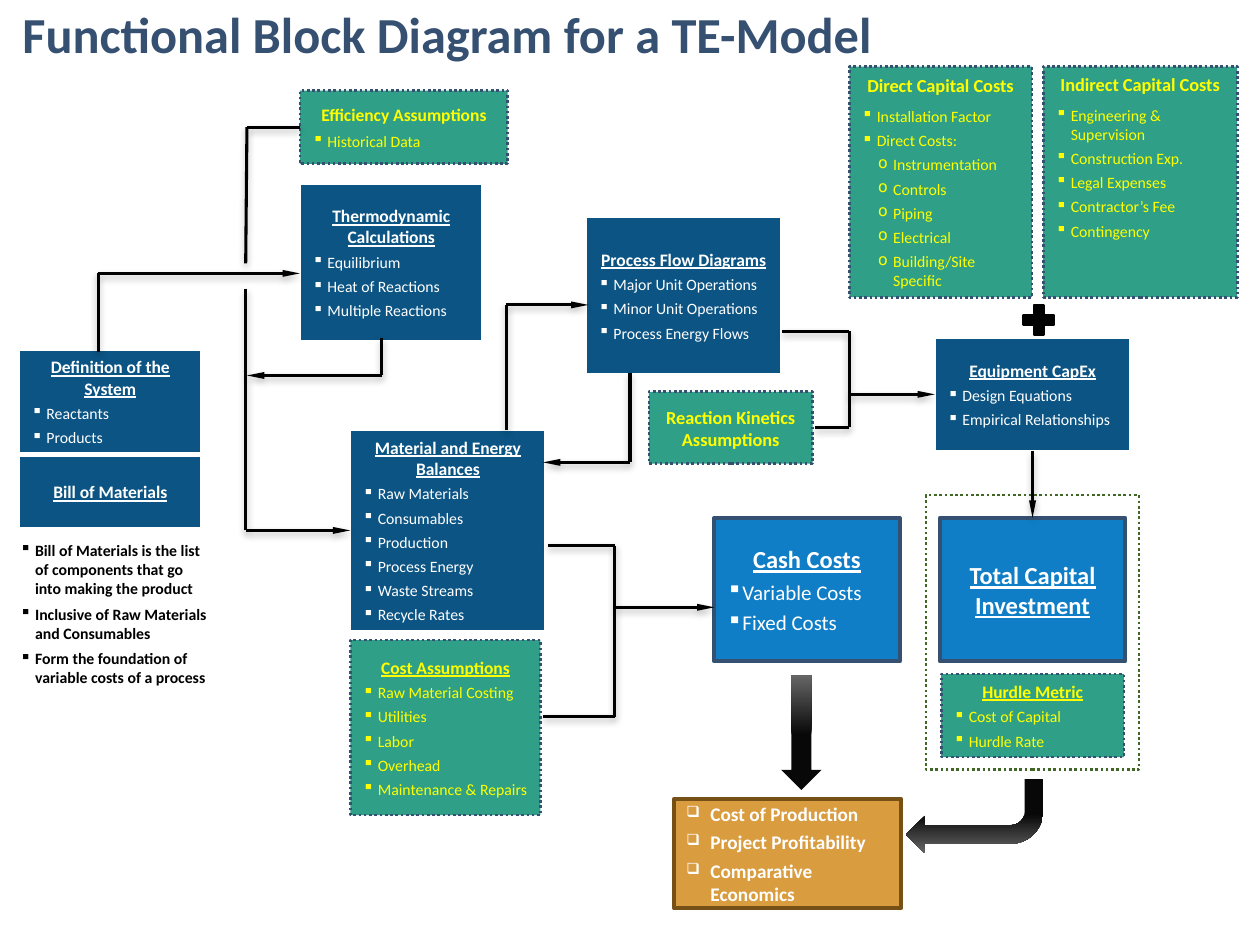
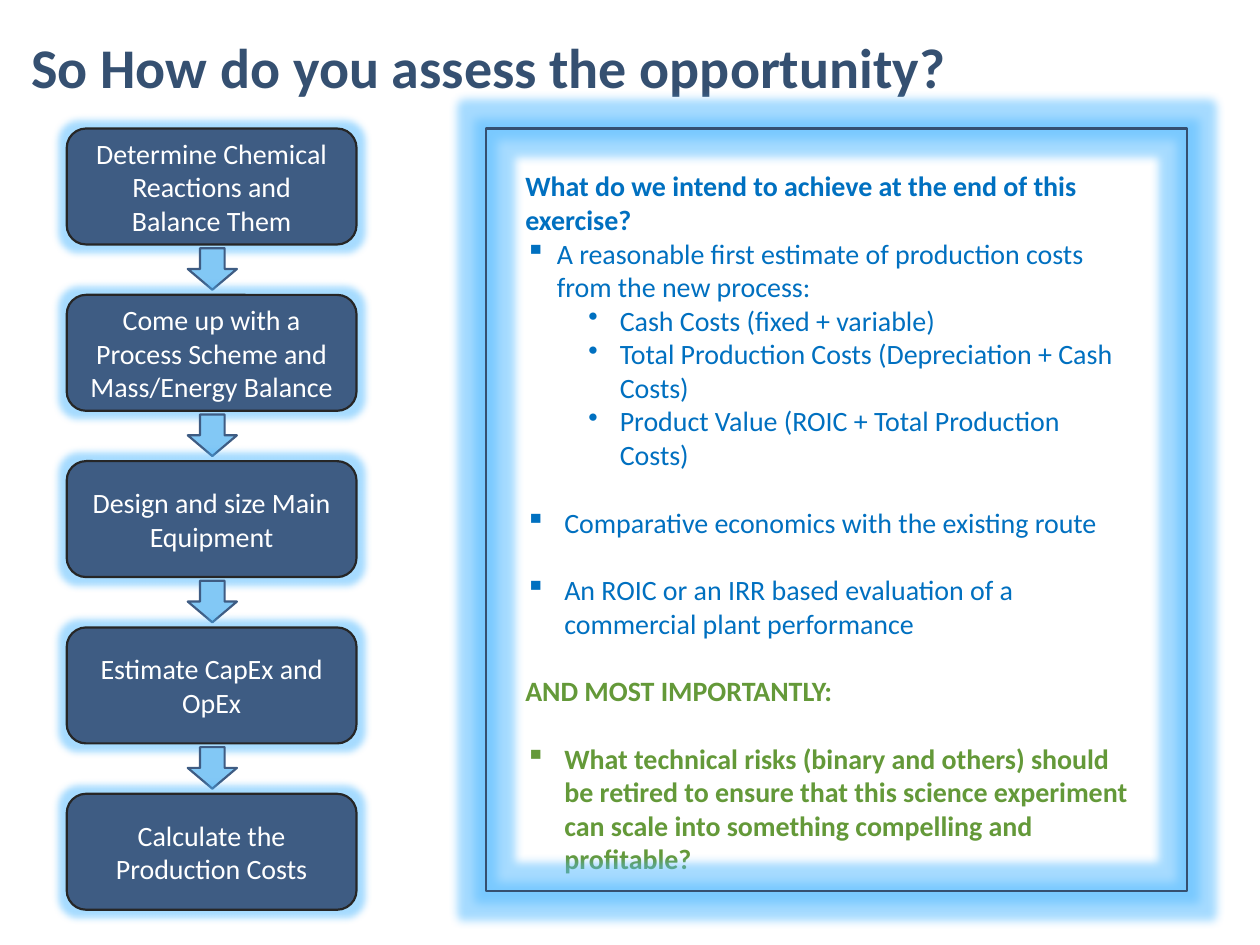
from dataclasses import dataclass

from lxml import etree
from pptx import Presentation
from pptx.dml.color import RGBColor
from pptx.enum.dml import MSO_LINE
from pptx.enum.shapes import MSO_CONNECTOR, MSO_SHAPE
from pptx.enum.text import MSO_ANCHOR, PP_ALIGN
from pptx.oxml.ns import qn
from pptx.util import Inches, Pt

FONT = "Calibri"
WHITE = RGBColor(0xFF, 0xFF, 0xFF)
BLACK = RGBColor(0, 0, 0)
NEAR_BLACK = RGBColor(0x08, 0x08, 0x08)
GRAY = RGBColor(0x66, 0x66, 0x66)
CHARCOAL = RGBColor(0x26, 0x26, 0x26)
SLATE = RGBColor(0x35, 0x50, 0x71)
STEEL = RGBColor(0x3E, 0x5C, 0x83)
NAVY = RGBColor(0x0B, 0x54, 0x84)
BLUE = RGBColor(0x10, 0x7E, 0xC6)
SKY = RGBColor(0x82, 0xC8, 0xF5)
GLOW = RGBColor(0x4D, 0xB8, 0xFF)
TEXT_BLUE = RGBColor(0x00, 0x70, 0xC0)
TEAL = RGBColor(0x2F, 0xA0, 0x87)
YELLOW = RGBColor(0xFF, 0xFF, 0x00)
FOREST = RGBColor(0x42, 0x66, 0x26)
GREEN = RGBColor(0x64, 0x99, 0x39)
AMBER = RGBColor(0xD9, 0x9C, 0x3F)
BROWN = RGBColor(0x75, 0x50, 0x17)

RECTANGLE = MSO_SHAPE.RECTANGLE
ROUNDED = MSO_SHAPE.ROUNDED_RECTANGLE
DOWN_ARROW = MSO_SHAPE.DOWN_ARROW
BENT_ARROW = MSO_SHAPE.BENT_ARROW
PLUS = MSO_SHAPE.MATH_PLUS
STRAIGHT = MSO_CONNECTOR.STRAIGHT
DOTTED = MSO_LINE.ROUND_DOT
TOP, MIDDLE = MSO_ANCHOR.TOP, MSO_ANCHOR.MIDDLE
LEFT, CENTER = PP_ALIGN.LEFT, PP_ALIGN.CENTER
SIDE_TOP, SIDE_LEFT, SIDE_BOTTOM = 0, 1, 2


@dataclass(frozen=True)
class CardStyle:
    fill: RGBColor
    line: RGBColor
    width: float
    text: RGBColor
    dash: MSO_LINE = None


PROCESS = CardStyle(NAVY, WHITE, 1.25, WHITE)
ASSUMPTION = CardStyle(TEAL, SLATE, 1.5, YELLOW, DOTTED)
RESULT = CardStyle(BLUE, SLATE, 2.25, WHITE)
OUTCOME = CardStyle(AMBER, BROWN, 2.25, WHITE)


def add_box(page, kind, bounds, fill=None, line=None, width=1.25, dash=None):
    box = page.shapes.add_shape(kind, *map(Inches, bounds))
    box.shadow.inherit = False
    if fill is None:
        box.fill.background()
    else:
        box.fill.solid()
        box.fill.fore_color.rgb = fill
    if line is None:
        box.line.fill.background()
    else:
        box.line.color.rgb = line
        box.line.width = Pt(width)
        if dash is not None:
            box.line.dash_style = dash
    return box


def prepare_frame(box, anchor):
    frame = box.text_frame
    frame.word_wrap = True
    frame.vertical_anchor = anchor
    return frame


def add_para(frame, text, size, color, bold=False, underline=False, align=LEFT,
             before=0, after=0, bullet=None, bullet_size=None, margin=0.12, hanging=0.12):
    """Fill the empty first paragraph, or add one after the last."""
    para = frame.paragraphs[0] if not frame.text else frame.add_paragraph()
    para.alignment = align
    para.space_before, para.space_after = Pt(before), Pt(after)
    if bullet:
        properties = para._p.get_or_add_pPr()
        properties.set("marL", str(Inches(margin)))
        properties.set("indent", str(-Inches(hanging)))
        if bullet_size:
            etree.SubElement(properties, qn("a:buSzPct"), val=str(bullet_size * 1000))
        etree.SubElement(properties, qn("a:buChar"), char=bullet)
    span = para.add_run()
    span.text = text
    span.font.name, span.font.size, span.font.color.rgb = FONT, Pt(size), color
    span.font.bold, span.font.underline = bold, underline
    return para


def add_title(page, text, bounds, size):
    box = page.shapes.add_textbox(*map(Inches, bounds))
    para = add_para(prepare_frame(box, MIDDLE), text, size, SLATE, bold=True)
    para.line_spacing = 0.9


def add_card(page, style, bounds, heading, items=(), sub_items=(), size=10, item_size=9,
             underline=True, after=3, anchor=MIDDLE):
    """Box with a centred heading, bullets and second-level bullets."""
    box = add_box(page, RECTANGLE, bounds, style.fill, style.line, style.width, style.dash)
    frame = prepare_frame(box, anchor)
    add_para(frame, heading, size, style.text, bold=True, underline=underline,
             align=CENTER, after=after)
    for item in items:
        add_para(frame, item, item_size, style.text, after=3, bullet="▪")
    for item in sub_items:
        add_para(frame, item, item_size, style.text, after=3, bullet="o", margin=0.25)
    return box


def add_shadow(connector):
    effects = etree.SubElement(connector._element.spPr, qn("a:effectLst"))
    shadow = etree.SubElement(effects, qn("a:outerShdw"), blurRad=str(Pt(4)),
                              dist=str(Pt(2)), dir="5400000", rotWithShape="0")
    color = etree.SubElement(shadow, qn("a:srgbClr"), val=str(BLACK))
    etree.SubElement(color, qn("a:alpha"), val="28000")


def add_path(page, *points, arrow=False, begin=None, end=None):
    """Chain of lines; begin and end are (box, side) pairs to join."""
    for start, stop in zip(points, points[1:]):
        connector = page.shapes.add_connector(STRAIGHT, *map(Inches, start + stop))
        connector.line.color.rgb = BLACK
        connector.line.width = Pt(1.75)
        if begin and start == points[0]:
            connector.begin_connect(*begin)
        if stop == points[-1]:
            if end:
                connector.end_connect(*end)
            if arrow:
                etree.SubElement(connector.line._get_or_add_ln(), qn("a:tailEnd"),
                                 type="triangle", w="sm", len="lg")
        add_shadow(connector)


def add_block_arrow(page, kind, bounds, rotation=0):
    arrow = add_box(page, kind, bounds)
    arrow.rotation = rotation
    arrow.fill.gradient()
    arrow.fill.gradient_angle = 90
    dark, light = arrow.fill.gradient_stops
    dark.position, dark.color.rgb = 0.48, NEAR_BLACK
    light.position, light.color.rgb = 1, GRAY


def add_glow(box, radius):
    effects = box._element.spPr.find(qn("a:effectLst"))
    glow = etree.SubElement(effects, qn("a:glow"), rad=str(Pt(radius)))
    color = etree.SubElement(glow, qn("a:srgbClr"), val=str(GLOW))
    etree.SubElement(color, qn("a:alpha"), val="50000")


def build_block_diagram(page):
    add_title(page, "Functional Block Diagram for a TE-Model", (0.08, 0.06, 9.75, 0.47), 28.8)

    add_card(page, PROCESS, (0.15, 2.78, 1.45, 0.82), "Definition of the System",
             ["Reactants", "Products"], anchor=TOP)
    add_card(page, PROCESS, (0.15, 3.62, 1.45, 0.57), "Bill of Materials", after=6)
    efficiency = add_card(page, ASSUMPTION, (2.38, 0.72, 1.65, 0.58), "Efficiency Assumptions",
                          ["Historical Data"], underline=False, after=4)
    add_card(page, ASSUMPTION, (2.78, 5.08, 1.51, 1.39), "Cost Assumptions",
             ["Raw Material Costing", "Utilities", "Labor", "Overhead", "Maintenance & Repairs"])
    add_card(page, ASSUMPTION, (6.74, 0.53, 1.45, 1.83), "Direct Capital Costs",
             ["Installation Factor", "Direct Costs:"],
             ["Instrumentation", "Controls", "Piping", "Electrical", "Building/Site Specific"],
             size=10.5, underline=False, after=6)
    add_card(page, ASSUMPTION, (8.28, 0.53, 1.54, 1.83), "Indirect Capital Costs",
             ["Engineering & Supervision", "Construction Exp.", "Legal Expenses",
              "Contractor’s Fee", "Contingency"],
             size=10.5, underline=False, after=6, anchor=TOP)
    add_card(page, PROCESS, (2.38, 1.46, 1.45, 1.25), "Thermodynamic Calculations",
             ["Equilibrium", "Heat of Reactions", "Multiple Reactions"])
    add_card(page, PROCESS, (4.65, 1.72, 1.55, 1.25), "Process Flow Diagrams",
             ["Major Unit Operations", "Minor Unit Operations", "Process Energy Flows"])
    add_card(page, ASSUMPTION, (5.15, 3.11, 1.3, 0.57), "Reaction Kinetics Assumptions",
             size=10.5, underline=False, after=6)
    equipment = add_card(page, PROCESS, (7.42, 2.68, 1.55, 0.9), "Equipment CapEx",
                         ["Design Equations", "Empirical Relationships"])
    capital = add_card(page, RESULT, (7.46, 4.11, 1.47, 1.14), "Total Capital Investment",
                       size=14)
    add_card(page, RESULT, (5.67, 4.11, 1.47, 1.14), "Cash Costs",
             ["Variable Costs", "Fixed Costs"], size=14, item_size=12)
    add_card(page, ASSUMPTION, (7.47, 5.35, 1.45, 0.66), "Hurdle Metric",
             ["Cost of Capital", "Hurdle Rate"])
    balances = add_card(page, PROCESS, (2.78, 3.41, 1.55, 1.6), "Material and Energy Balances",
                        ["Raw Materials", "Consumables", "Production", "Process Energy",
                         "Waste Streams", "Recycle Rates"])
    add_box(page, RECTANGLE, (7.35, 3.93, 1.69, 2.18), line=FOREST, width=1.5, dash=DOTTED)
    add_box(page, PLUS, (8.08, 2.38, 0.33, 0.32), BLACK, BLACK)

    outcome = add_box(page, RECTANGLE, (5.35, 6.34, 1.8, 0.87), OUTCOME.fill, OUTCOME.line,
                      OUTCOME.width)
    frame = prepare_frame(outcome, MIDDLE)
    for text in ("Cost of Production", "Project Profitability", "Comparative Economics"):
        add_para(frame, text, 11, OUTCOME.text, bold=True, after=3, bullet="❑",
                 bullet_size=80, margin=0.19, hanging=0.19)

    notes = page.shapes.add_textbox(*map(Inches, (0.06, 4.24, 1.72, 1.28)))
    frame = prepare_frame(notes, TOP)
    for text in ("Bill of Materials is the list of components that go into making the product",
                 "Inclusive of Raw Materials and Consumables",
                 "Form the foundation of variable costs of a process"):
        add_para(frame, text, 9, BLACK, bold=True, after=4, bullet="▪")

    add_block_arrow(page, DOWN_ARROW, (6.2, 5.36, 0.32, 0.91))
    add_block_arrow(page, BENT_ARROW, (7.19, 6.18, 1.09, 0.59), rotation=180)

    add_path(page, (0.78, 2.79), (0.78, 2.17), (2.38, 2.17), arrow=True)
    add_path(page, (2.38, 1.01), (1.96, 1.01), (1.95, 2.09), begin=(efficiency, SIDE_LEFT))
    add_path(page, (1.95, 2.29), (1.95, 4.21), (2.78, 4.21), arrow=True,
             end=(balances, SIDE_LEFT))
    add_path(page, (3.03, 2.68), (3.03, 2.98), (1.96, 2.98), arrow=True)
    add_path(page, (4.02, 3.41), (4.02, 2.42), (4.67, 2.42), arrow=True)
    add_path(page, (5, 2.96), (5, 3.67), (4.31, 3.67), arrow=True)
    add_path(page, (6.21, 2.63), (6.74, 2.63), (6.74, 3.39), (6.47, 3.39))
    add_path(page, (6.74, 3.13), (7.42, 3.13), arrow=True, end=(equipment, SIDE_LEFT))
    add_path(page, (8.2, 3.58), (8.2, 4.11), arrow=True,
             begin=(equipment, SIDE_BOTTOM), end=(capital, SIDE_TOP))
    add_path(page, (4.35, 4.33), (4.88, 4.33), (4.88, 5.69), (4.31, 5.69))
    add_path(page, (4.88, 4.82), (5.67, 4.82), arrow=True)


def build_assessment(page):
    add_title(page, "So How do you assess the opportunity?", (0.15, 0.18, 9.75, 0.76), 32)

    steps = ["Determine Chemical Reactions and Balance Them",
             "Come up with a Process Scheme and Mass/Energy Balance",
             "Design and size Main Equipment",
             "Estimate CapEx and OpEx",
             "Calculate the Production Costs"]
    for index, text in enumerate(steps):
        top = 1.02 + 1.32 * index
        step = add_box(page, ROUNDED, (0.53, top, 2.3, 0.92), STEEL, CHARCOAL)
        add_glow(step, 8)
        add_para(prepare_frame(step, MIDDLE), text, 16, WHITE, align=CENTER)
        if index < len(steps) - 1:
            add_box(page, DOWN_ARROW, (1.49, top + 0.95, 0.39, 0.33), SKY, STEEL)

    goals = prepare_frame(add_box(page, ROUNDED, (3.8, 1.02, 5.56, 6.05)), TOP)
    line_gap = 19.4
    point = {"bullet": "▪", "margin": 0.31, "hanging": 0.31, "before": line_gap}
    add_para(goals, "What do we intend to achieve at the end of this exercise?", 16, TEXT_BLUE,
             bold=True)
    add_para(goals, "A reasonable first estimate of production costs from the new process:",
             16, TEXT_BLUE, bullet="▪", margin=0.25, hanging=0.25)
    for text in ("Cash Costs (fixed + variable)",
                 "Total Production Costs (Depreciation + Cash Costs)",
                 "Product Value (ROIC + Total Production Costs)"):
        add_para(goals, text, 16, TEXT_BLUE, bullet="•", margin=0.75, hanging=0.25)
    for text in ("Comparative economics with the existing route",
                 "An ROIC or an IRR based evaluation of a commercial plant performance"):
        add_para(goals, text, 16, TEXT_BLUE, **point)
    add_para(goals, "AND MOST IMPORTANTLY:", 16, GREEN, bold=True, before=line_gap)
    add_para(goals, "What technical risks (binary and others) should be retired to ensure that "
             "this science experiment can scale into something compelling and profitable?",
             16, GREEN, bold=True, **point)

    add_glow(add_box(page, RECTANGLE, (3.86, 1.02, 5.56, 6.05), line=SLATE), 11)


def main():
    deck = Presentation()
    deck.slide_width, deck.slide_height = Inches(10), Inches(7.5)
    blank = deck.slide_layouts[6]
    for build in (build_block_diagram, build_assessment):
        build(deck.slides.add_slide(blank))
    deck.save("out.pptx")


if __name__ == "__main__":
    main()
